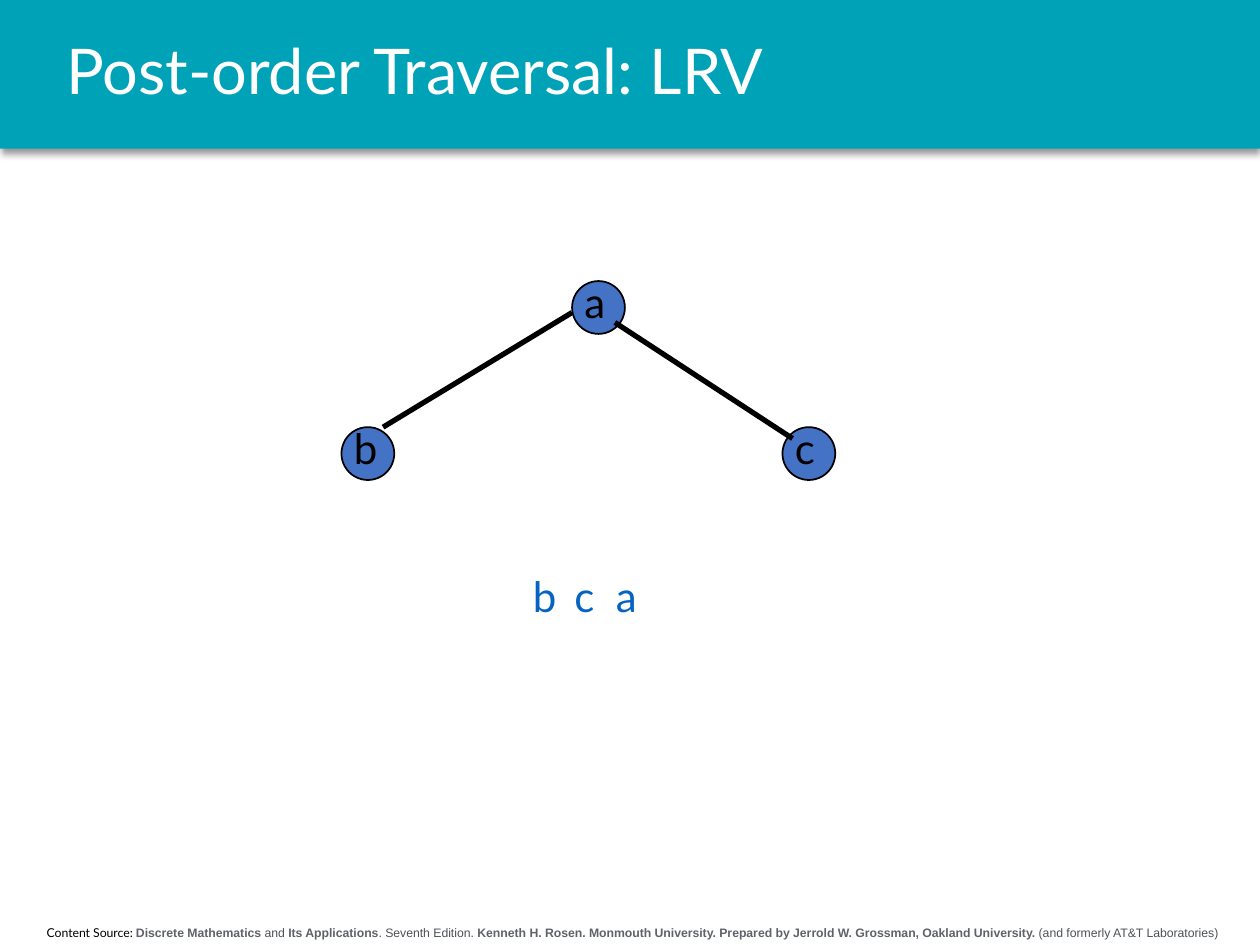
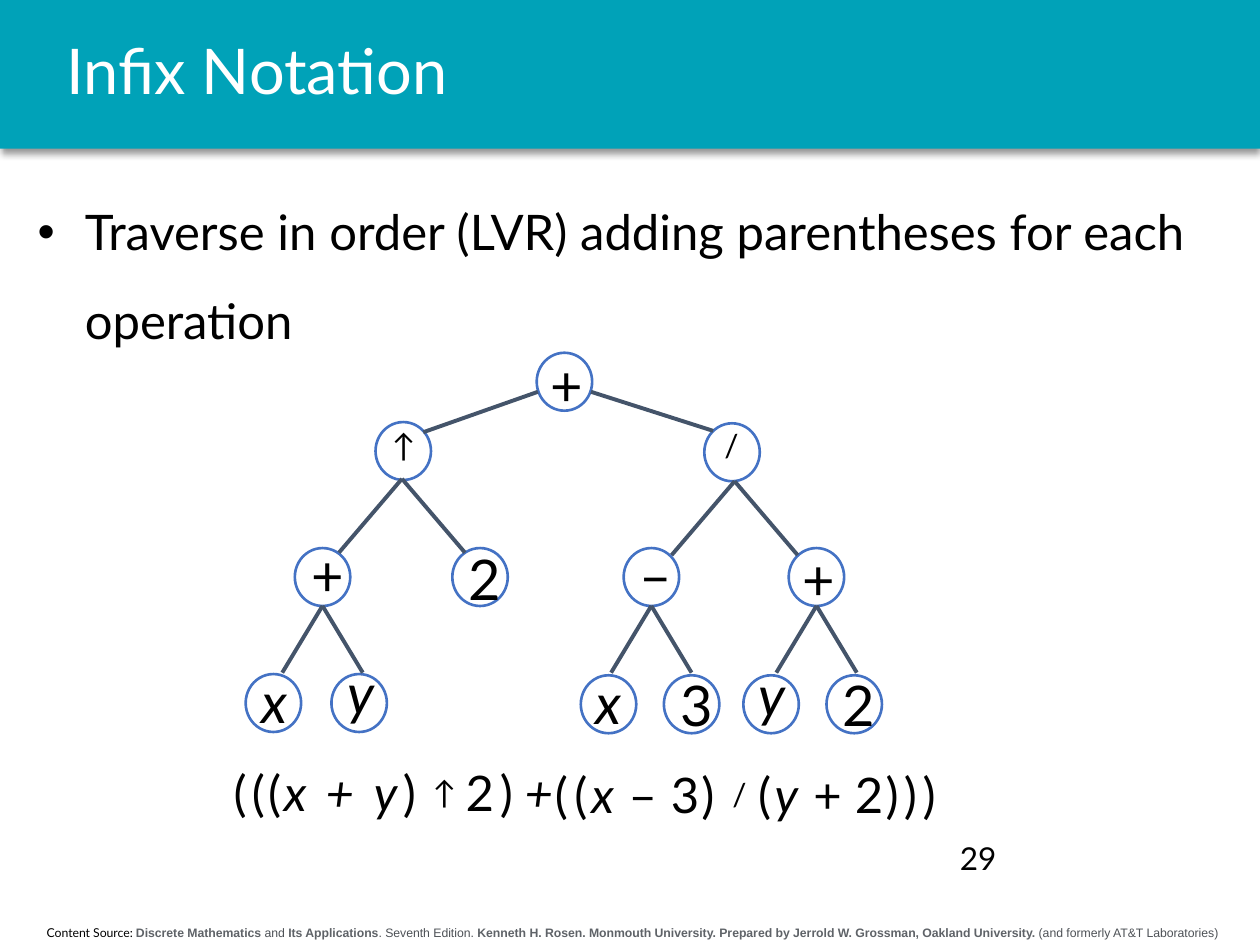
from dataclasses import dataclass

import pptx
import pptx.dml.color
import pptx.enum.shapes
import pptx.enum.text
import pptx.oxml.ns
import pptx.util
from lxml import etree

Pt = pptx.util.Pt
ALIGN = pptx.enum.text.PP_ALIGN
ANCHOR = pptx.enum.text.MSO_ANCHOR
SHAPE = pptx.enum.shapes.MSO_SHAPE
qn = pptx.oxml.ns.qn

COLOURS = {
    "band": "00A2B8", "white": "FFFFFF", "black": "000000",
    "blue": "4472C4", "slate": "44546A", "answer": "0563C1",
    "source_bold": "5F6368", "source_plain": "4D5156",
}
FONT = "Lato"
PAGE_WIDTH, PAGE_HEIGHT, BAND_HEIGHT = 720, 540, 85

# Footer spans: text, font, colour, bold
FOOTER = [
    ("Content Source: ", FONT, "black", False),
    ("Discrete Mathematics", "Arial", "source_bold", True),
    (" and ", "Arial", "source_plain", False),
    ("Its Applications", "Arial", "source_bold", True),
    (". Seventh Edition. ", "Arial", "source_plain", False),
    ("Kenneth H. Rosen. Monmouth University. Prepared by Jerrold W. Grossman, "
     "Oakland University.", "Arial", "source_bold", True),
    (" (and formerly AT&T Laboratories)", "Arial", "source_plain", False),
]


@dataclass
class Style:
    size: float
    colour: str = "black"
    italic: bool = False
    align: ALIGN = ALIGN.LEFT
    anchor: ANCHOR = ANCHOR.TOP


@dataclass
class NodeStyle:
    width: float
    height: float
    line: str
    line_width: float
    fill: str | None = None


@dataclass
class Node:
    label: str
    left: float
    top: float
    shift_x: float = 0
    shift_y: float = -6
    size: float = 32


@dataclass
class Edge:
    x1: float
    y1: float
    x2: float
    y2: float


@dataclass
class Symbol:
    text: str
    centre: float
    italic: bool = False


def colour(name: str) -> pptx.dml.color.RGBColor:
    return pptx.dml.color.RGBColor.from_string(COLOURS[name])


def line_height(size: float) -> float:
    """Height of a box that holds one line of text."""
    return size * 1.22 + 7.2


def format_span(span, size: float, name: str, font: str = FONT,
                bold: bool = False, italic: bool = False) -> None:
    span.font.size = Pt(size)
    span.font.name = font
    span.font.bold = bold
    span.font.italic = italic
    span.font.color.rgb = colour(name)


def add_text(page, text: str, left: float, top: float, width: float,
             height: float, style: Style):
    box = page.shapes.add_textbox(Pt(left), Pt(top), Pt(width), Pt(height))
    frame = box.text_frame
    frame.word_wrap = True
    frame.vertical_anchor = style.anchor
    frame.text = text
    para = frame.paragraphs[0]
    para.alignment = style.align
    for span in para.runs:
        format_span(span, style.size, style.colour, italic=style.italic)
    return para


def add_edge(page, edge: Edge, name: str, width: float) -> None:
    line = page.shapes.add_connector(
        pptx.enum.shapes.MSO_CONNECTOR.STRAIGHT,
        Pt(edge.x1), Pt(edge.y1), Pt(edge.x2), Pt(edge.y2))
    line.line.color.rgb = colour(name)
    line.line.width = Pt(width)
    etree.SubElement(line._element.spPr, qn("a:effectLst"))


def add_circle(page, node: Node, style: NodeStyle) -> None:
    circle = page.shapes.add_shape(SHAPE.OVAL, Pt(node.left), Pt(node.top),
                                   Pt(style.width), Pt(style.height))
    circle.shadow.inherit = False
    if style.fill:
        circle.fill.solid()
        circle.fill.fore_color.rgb = colour(style.fill)
    else:
        circle.fill.background()
    circle.line.color.rgb = colour(style.line)
    circle.line.width = Pt(style.line_width)


def add_tree(page, nodes: list[Node], style: NodeStyle, edges: list[Edge],
             edge_colour: str, edge_width: float) -> None:
    for node in nodes:
        add_circle(page, node, style)
    for edge in edges:
        add_edge(page, edge, edge_colour, edge_width)
    for node in nodes:
        add_text(page, node.label, node.left + node.shift_x,
                 node.top + node.shift_y,
                 style.width if node.size > 18 else 24, line_height(node.size),
                 Style(node.size, italic=node.label in ("x", "y")))


def fan(x: float, y: float, spread: float, drop: float) -> list[Edge]:
    """Two edges from a parent down to its children."""
    return [Edge(x, y, x + side * spread, y + drop) for side in (-1, 1)]


def add_page(deck, title: str):
    """Blank page with the title band, title and footer."""
    page = deck.slides.add_slide(deck.slide_layouts[6])
    band = page.shapes.add_shape(SHAPE.RECTANGLE, 0, 0, Pt(PAGE_WIDTH), Pt(BAND_HEIGHT))
    band.fill.solid()
    band.fill.fore_color.rgb = colour("band")
    band.line.fill.background()
    band.shadow.inherit = False
    effects = band._element.spPr.find(qn("a:effectLst"))
    shadow = etree.SubElement(effects, qn("a:outerShdw"), blurRad=str(Pt(4)),
                              dist=str(Pt(3)), dir="5400000", rotWithShape="0")
    tint = etree.SubElement(shadow, qn("a:srgbClr"), val=COLOURS["black"])
    etree.SubElement(tint, qn("a:alpha"), val="40000")

    para = add_text(page, title, 31, 0, 669.6, BAND_HEIGHT,
                    Style(36, "white", anchor=ANCHOR.MIDDLE))
    para.line_spacing = 0.9

    para = add_text(page, "", 2.9, 524.9, 717.1, 15.8, Style(7, align=ALIGN.CENTER))
    for text, font, name, bold in FOOTER:
        span = para.add_run()
        span.text = text
        format_span(span, 7, name, font, bold)
    return page


def build_post_order(deck) -> None:
    page = add_page(deck, "Post-order Traversal: LRV")
    nodes = [Node("a", 326.9, 160.6, size=24), Node("b", 195.1, 244.1, size=24),
             Node("c", 447.1, 244.1, size=24)]
    edges = [Edge(326.9, 178.6, 218.9, 244.1), Edge(351.4, 184.3, 452.9, 250.6)]
    add_tree(page, nodes, NodeStyle(30.2, 30.2, "black", 1, "blue"), edges, "black", 3)

    # Visiting order
    for index, letter in enumerate("bca"):
        add_text(page, letter, 297.4 + index * 23.75, 322.6, 30.2, 36,
                 Style(24, "answer"))


def build_infix(deck) -> None:
    page = add_page(deck, "Infix Notation")
    add_text(page, "29", 541.4, 475.9, 223.9, 28.8, Style(18))

    # Expression tree
    nodes = [
        Node("+", 306.7, 201.6, 0.7, -5),
        Node("↑", 214.6, 241.2, 2.2, -1.4, 18), Node("/", 402.5, 241.9, 4.3, -2.2, 18),
        Node("+", 168.5, 313.2, 2.2, -7.9), Node("2", 258.5, 313.2, 2.2, -5.8),
        Node("–", 356.4, 313.2, 2.2, -7.9), Node("+", 450.7, 313.2, 0.7, -5.8),
        Node("x", 140.4, 385.2, 2.2, -7.2), Node("y", 189.4, 385.2, 2.2, -12.2),
        Node("x", 331.9, 385.9, 1.4, -7.2), Node("3", 379.4, 385.9, 2.2, -6.5),
        Node("y", 424.8, 385.9, 1.4, -12.2), Node("2", 472.3, 385.9, 2.2, -6.5),
    ]
    edges = [Edge(407.5, 246.2, 337.7, 223.9), Edge(241.9, 247, 307.4, 223.9)]
    for x, y in ((229.7, 273.6), (419.8, 275)):
        edges += fan(x, y, 36, 42.2)
    for x in (184.3, 372.2, 466.6):
        edges += fan(x, 346.2, 23, 38.2)
    add_tree(page, nodes, NodeStyle(31.7, 33.1, "blue", 1.5), edges, "slate", 2.25)

    # Bullet
    para = add_text(page, "Traverse in order (LVR) adding parentheses for each operation",
                    14.4, 95, 669.6, 66.2, Style(28, align=ALIGN.JUSTIFY))
    para.line_spacing = 1.5
    properties = para._p.get_or_add_pPr()
    properties.set("marL", str(Pt(27)))
    properties.set("indent", str(Pt(-27)))
    etree.SubElement(properties, qn("a:buFont"), typeface="Arial")
    etree.SubElement(properties, qn("a:buChar"), char="•")

    # Infix expression, one box per symbol
    left_operand = [
        Symbol("(", 137.2), Symbol("(", 147.6), Symbol("(", 157),
        Symbol("x", 168.8, True), Symbol("+", 194, True), Symbol("y", 220.3, True),
        Symbol(")", 234), Symbol("↑", 252.4), Symbol("2", 274), Symbol(")", 289.4),
        Symbol("+", 307.8, True),
    ]
    right_operand = [
        Symbol("(", 320.8), Symbol("(", 331.9), Symbol("x", 344.5, True),
        Symbol("–", 367.2), Symbol("3", 391.3), Symbol(")", 404.6),
        Symbol("/", 422.6), Symbol("(", 437), Symbol("y", 449.3, True),
        Symbol("+", 472.7), Symbol("2", 496.4), Symbol(")", 509.8),
        Symbol(")", 520.2), Symbol(")", 531),
    ]
    for symbols, middle in ((left_operand, 452.3), (right_operand, 453.6)):
        for symbol in symbols:
            size = 18 if symbol.text in "↑/" else 28
            width = 24.5 if symbol.text in "()↑/" else 30
            height = line_height(size)
            add_text(page, symbol.text, symbol.centre - width / 2, middle - height / 2,
                     width, height,
                     Style(size, italic=symbol.italic, align=ALIGN.CENTER,
                           anchor=ANCHOR.MIDDLE))


def main() -> None:
    deck = pptx.Presentation()
    deck.slide_width, deck.slide_height = Pt(PAGE_WIDTH), Pt(PAGE_HEIGHT)
    build_post_order(deck)
    build_infix(deck)
    deck.save("out.pptx")


if __name__ == "__main__":
    main()
